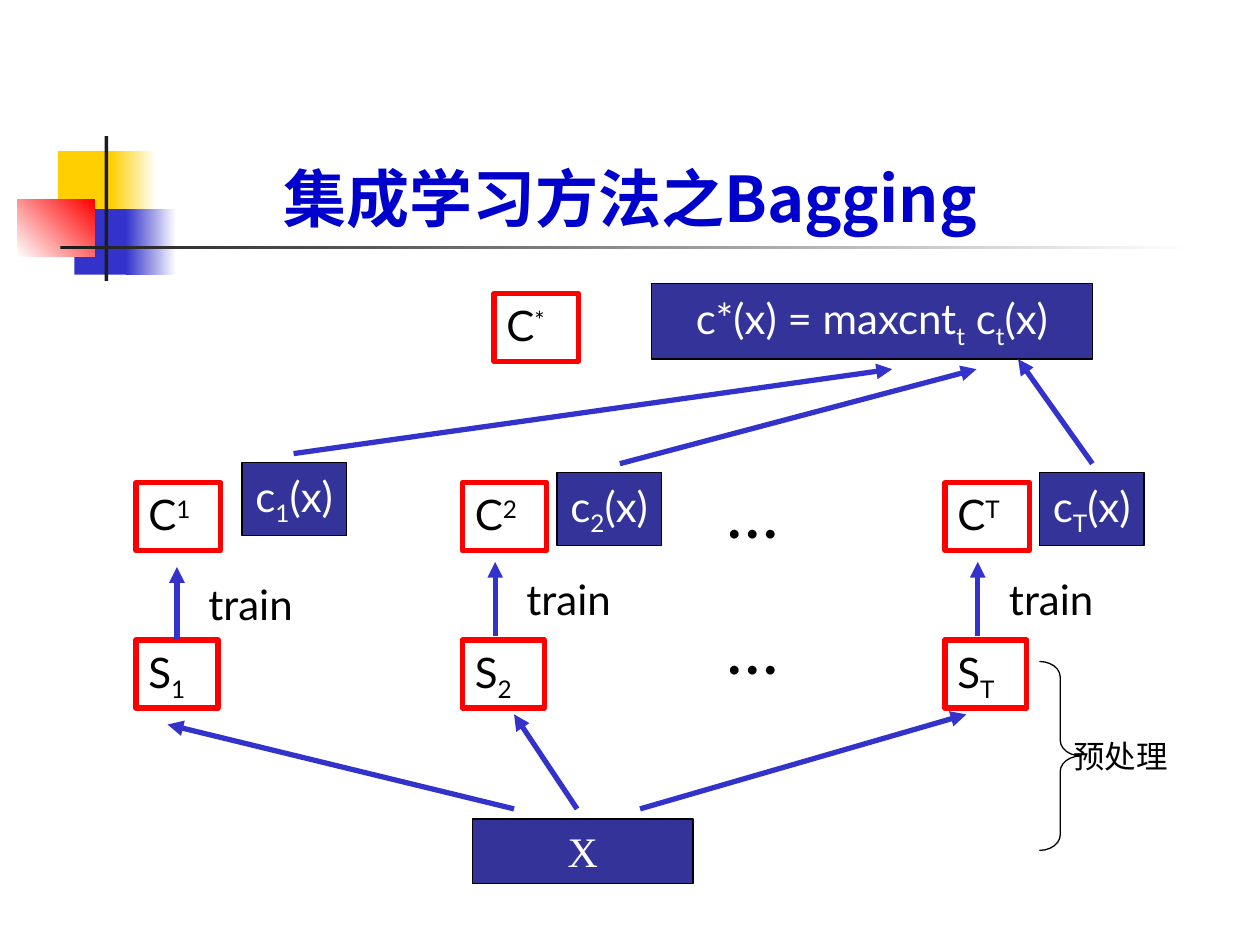
from lxml.etree import SubElement
from pptx import Presentation
from pptx.dml.color import RGBColor
from pptx.enum.shapes import MSO_CONNECTOR, MSO_SHAPE
from pptx.enum.text import MSO_ANCHOR as Anchor, PP_ALIGN as Align
from pptx.oxml.ns import qn
from pptx.util import Inches, Pt

LATIN, HAN, SERIF = "Lato", "Noto Sans CJK SC", "Times New Roman"
BLUE, NAVY, RED, BLACK, WHITE = "3333CC", "333399", "FF0000", "000000", "FFFFFF"
GOLD, INK, TITLE_BLUE = "FFCF01", "1C1C1C", "0000CC"
SUPER, SUB = 30, -25


def rgb(color):
    """Turn a hex string into a colour."""
    return RGBColor.from_string(color)


def inches(box):
    """Turn numbers into lengths."""
    return [Inches(value) for value in box]


def add_runs(paragraph, pieces, size, color, font=LATIN, bold=False):
    """Add (text, baseline) pieces to a paragraph as runs."""
    for words, baseline in pieces:
        run = paragraph.add_run()
        run.text = words
        run.font.size = Pt(size)
        run.font.bold = bold
        run.font.name = font
        run.font.color.rgb = rgb(color)
        props = run._r.get_or_add_rPr()
        if font == HAN:
            props.find(qn("a:latin")).addnext(props.makeelement(qn("a:ea"), {"typeface": HAN}))
        if baseline:
            props.set("baseline", str(baseline * 1000))


def add_block(slide, box, fill=None, line=None, width=0.75, preset=MSO_SHAPE.RECTANGLE):
    """Add a flat preset shape; a pair of fill colours makes a gradient."""
    block = slide.shapes.add_shape(preset, *inches(box))
    block.shadow.inherit = False
    if fill is None:
        block.fill.background()
    elif isinstance(fill, tuple):
        block.fill.gradient()
        for stop, color in zip(block.fill.gradient_stops, fill):
            stop.color.rgb = rgb(color)
    else:
        block.fill.solid()
        block.fill.fore_color.rgb = rgb(fill)
    if line:
        block.line.color.rgb = rgb(line)
        block.line.width = Pt(width)
    else:
        block.line.fill.background()
    return block


def add_model(slide, box, letter, mark, baseline):
    """Add a red-framed box with an indexed letter."""
    model = add_block(slide, box, line=RED, width=3)
    frame = model.text_frame
    frame.word_wrap = True
    frame.vertical_anchor = Anchor.TOP
    frame.paragraphs[0].alignment = Align.LEFT
    add_runs(frame.paragraphs[0], [(letter, 0), (mark, baseline)], 24, BLACK)
    return model


def add_formula(slide, box, pieces, font=LATIN):
    """Add a navy box with a centred formula."""
    frame = add_block(slide, box, NAVY, BLACK).text_frame
    frame.word_wrap = False
    frame.vertical_anchor = Anchor.MIDDLE
    frame.paragraphs[0].alignment = Align.CENTER
    add_runs(frame.paragraphs[0], pieces, 24, WHITE, font)


def add_label(slide, box, words, size, font=LATIN):
    """Add a one-line label."""
    frame = slide.shapes.add_textbox(*inches(box)).text_frame
    frame.word_wrap = False
    add_runs(frame.paragraphs[0], [(words, 0)], size, BLACK, font)


def add_arrow(slide, start, end):
    """Add a blue arrow between two points."""
    arrow = slide.shapes.add_connector(MSO_CONNECTOR.STRAIGHT, *inches(start + end))
    arrow.line.color.rgb = rgb(BLUE)
    arrow.line.width = Pt(3)
    SubElement(arrow.line._get_or_add_ln(), qn("a:tailEnd"), type="triangle")
    SubElement(arrow._element.spPr, qn("a:effectLst"))
    return arrow


def draw_ornament(slide, left, top):
    """Draw the coloured squares and crossing rules of the title."""
    parts = [
        (0.32, 0.12, 0.48, 0.52, GOLD, None),
        (0.74, 0.12, 0.36, 0.52, (GOLD, WHITE), 0),
        (0.45, 0.58, 0.46, 0.52, BLUE, None),
        (0.86, 0.58, 0.4, 0.52, (BLUE, WHITE), 0),
        (0, 0.5, 0.61, 0.46, (WHITE, RED), 45),
        (0.69, 0, 0.03, 1.15, INK, None),
        (0.34, 0.87, 9, 0.03, (INK, WHITE), 0),
    ]
    for x, y, width, height, fill, angle in parts:
        block = add_block(slide, (left + x, top + y, width, height), fill)
        if angle is not None:
            block.fill.gradient_angle = angle


def draw_title(slide, box):
    """Place and format the title."""
    title = slide.shapes.title
    title.left, title.top, title.width, title.height = inches(box)
    frame = title.text_frame
    frame.word_wrap = True
    frame.vertical_anchor = Anchor.BOTTOM
    frame.paragraphs[0].alignment = Align.CENTER
    add_runs(frame.paragraphs[0], [("集成学习方法之Bagging", 0)], 36, TITLE_BLUE, HAN, True)


def draw_learner(slide, left, top, mark, formula_at, joined=False):
    """Draw one sample set, its training arrow and its classifier."""
    add_model(slide, (left, top, 0.67, 0.54), "C", mark, SUPER)
    sample = add_model(slide, (left, top + 1.25, 0.65, 0.54), "S", mark, SUB)
    x = left + (0.325 if joined else 0.26)
    tip = top + (0.67 if joined else 0.63)
    arrow = add_arrow(slide, (x, top + 1.22), (x, tip))
    if joined:
        arrow.begin_connect(sample, 0)
    add_label(slide, (x + 0.15, tip + 0.04, 0.87, 0.5), "train", 24)
    dx, dy = formula_at
    add_formula(slide, (left + dx, top + dy, 0.83, 0.58), [("c", 0), (mark, SUB), ("(x)", 0)])


def draw_vote(slide, left, top):
    """Draw the combined classifier and the arrows into it."""
    add_model(slide, (left, top + 0.08, 0.67, 0.54), "C", "*", SUPER)
    vote = [("c*(x) = maxcnt", 0), ("t", SUB), (" c", 0), ("t", SUB), ("(x)", 0)]
    add_formula(slide, (left + 1.25, top, 3.5, 0.6), vote)
    for start, end in [((2.33, 3.6), (7.08, 2.93)), ((4.92, 3.68), (7.75, 2.93)),
                       ((8.67, 3.68), (8.08, 2.85))]:
        add_arrow(slide, start, end)


def draw_source(slide, box):
    """Draw the data box and the arrows to the sample sets."""
    left, top = box[:2]
    add_formula(slide, box, [("X", 0)], SERIF)
    for i, end in enumerate([(1.33, 5.75), (4.08, 5.67), (7.67, 5.67)]):
        add_arrow(slide, (left + 0.33 + i * 0.5, top - 0.08), end)


def draw_preprocessing(slide, box):
    """Draw the brace and its label."""
    left, top, width, height = box
    brace = add_block(slide, box, line=BLACK, preset=MSO_SHAPE.RIGHT_BRACE)
    brace.adjustments[0] = 0.375
    brace.adjustments[1] = 0.5
    add_label(slide, (left + width - 0.16, top + height / 2 - 0.2, 0.95, 0.4), "预处理", 18, HAN)


def main():
    """Build the slide and save it."""
    deck = Presentation()
    deck.slide_width, deck.slide_height = Inches(10), Inches(7.5)
    slide = deck.slides.add_slide(deck.slide_layouts[5])
    draw_ornament(slide, 0.14, 1.08)
    draw_title(slide, (0.33, 0.67, 9.34, 1.25))
    draw_learner(slide, 1.08, 3.83, "1", (0.84, -0.16), joined=True)
    draw_learner(slide, 3.67, 3.83, "2", (0.75, -0.08))
    draw_learner(slide, 7.5, 3.83, "T", (0.75, -0.08))
    for top in (3.67, 4.75):
        add_label(slide, (5.67, top, 0.66, 0.77), "…", 40)
    draw_vote(slide, 3.92, 2.25)
    draw_source(slide, (3.75, 6.5, 1.75, 0.51))
    draw_preprocessing(slide, (8.25, 5.25, 0.33, 1.5))
    deck.save("out.pptx")


if __name__ == "__main__":
    main()
